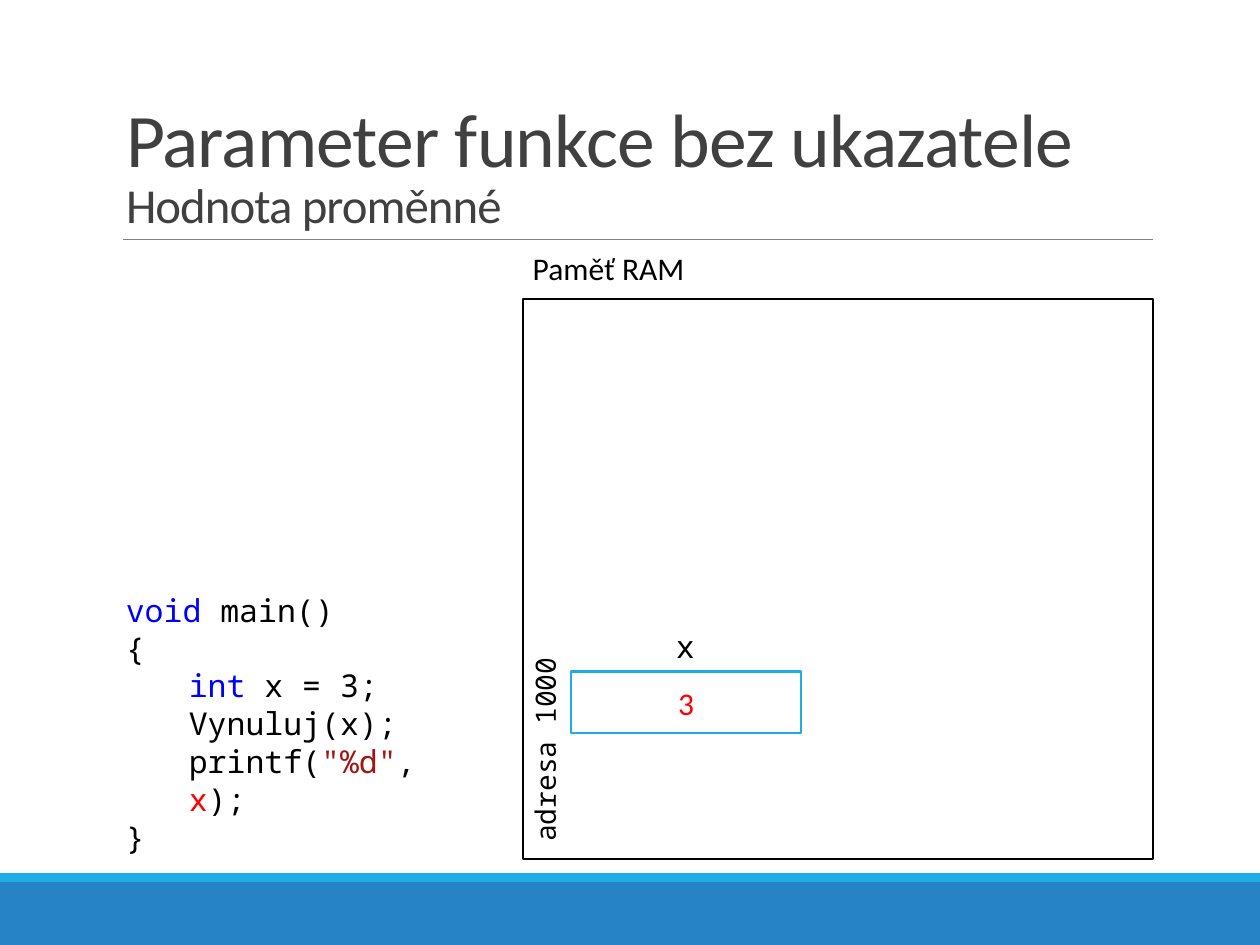
from typing import NamedTuple

from lxml.etree import SubElement as Sub
from pptx import Presentation
from pptx.dml.color import RGBColor as Color
from pptx.enum.shapes import MSO_CONNECTOR as Link, MSO_SHAPE as Shape
from pptx.enum.text import MSO_ANCHOR as Anchor, MSO_AUTO_SIZE as Fit, PP_ALIGN as Align
from pptx.oxml.ns import qn
from pptx.util import Inches, Pt

BLACK = Color(0x00, 0x00, 0x00)
WHITE = Color(0xFF, 0xFF, 0xFF)
DARK = Color(0x40, 0x40, 0x40)
GRAY = Color(0x80, 0x80, 0x80)
BLUE = Color(0x26, 0x83, 0xC6)
CYAN = Color(0x1C, 0xAD, 0xE4)
KEY = Color(0x00, 0x00, 0xFF)
QUOTE = Color(0xA3, 0x15, 0x15)
RED = Color(0xFF, 0x00, 0x00)
SANS = "Calibri"
MONO = "Noto Sans Mono"


class Area(NamedTuple):
    left: float
    top: float
    width: float
    height: float


class Panel(NamedTuple):
    area: Area
    fill: Color
    line: Color | None = None


class Word(NamedTuple):
    text: str
    color: Color = BLACK


class Row(NamedTuple):
    words: list[Word]
    level: int = 0


class Label(NamedTuple):
    area: Area
    text: str
    font: str = MONO
    size: float = 18
    align: Align = Align.LEFT
    turn: float = 0


PANELS = [
    Panel(Area(0, 7, 10, 0.5), BLUE),
    Panel(Area(0, 6.93, 10, 0.07), CYAN),
    Panel(Area(4.15, 2.37, 5, 4.45), WHITE, BLACK),
]
CELL = Panel(Area(4.53, 5.33, 1.83, 0.49), WHITE, CYAN)
LABELS = [
    Label(Area(4.13, 1.93, 1.86, 0.4), "Paměť RAM", SANS),
    Label(Area(4.53, 4.93, 1.82, 0.4), "x", align=Align.CENTER),
    Label(Area(3.42, 5.84, 1.81, 0.37), "adresa 1000", size=16, align=Align.RIGHT, turn=270),
]
CODE = [
    Row([Word("void ", KEY), Word("main()")]),
    Row([Word("{")]),
    Row([Word("int", KEY), Word(" x = 3;")], 1),
    Row([Word("Vynuluj(x);")], 1),
    Row([Word("printf("), Word('"%d"', QUOTE), Word(", "), Word("x", RED), Word(");")], 1),
    Row([Word("}")]),
]


def place(area: Area) -> list[int]:
    return [Inches(side) for side in area]


def write(para, word: Word, font: str, size: float):
    run = para.add_run()
    run.text = word.text
    run.font.name = font
    run.font.size = Pt(size)
    run.font.color.rgb = word.color
    return run


def draw_panel(slide, panel: Panel):
    box = slide.shapes.add_shape(Shape.RECTANGLE, *place(panel.area))
    box.shadow.inherit = False
    box.fill.solid()
    box.fill.fore_color.rgb = panel.fill
    if panel.line is None:
        box.line.fill.background()
    else:
        box.line.color.rgb = panel.line
        box.line.width = Pt(1.25)
    return box


def draw_cell(slide, panel: Panel, word: Word) -> None:
    frame = draw_panel(slide, panel).text_frame
    frame.vertical_anchor = Anchor.MIDDLE
    para = frame.paragraphs[0]
    para.alignment = Align.CENTER
    write(para, word, SANS, 18)


def draw_label(slide, label: Label) -> None:
    box = slide.shapes.add_textbox(*place(label.area))
    box.rotation = label.turn
    frame = box.text_frame
    frame.word_wrap = True
    para = frame.paragraphs[0]
    para.alignment = label.align
    write(para, Word(label.text), label.font, label.size)


def draw_code(slide, area: Area, rows: list[Row]) -> None:
    frame = slide.shapes.add_textbox(*place(area)).text_frame
    frame.word_wrap = True
    frame.margin_top = Inches(1.56)
    for i, row in enumerate(rows):
        para = frame.add_paragraph() if i else frame.paragraphs[0]
        para.level = row.level
        para._p.get_or_add_pPr().set("marL", str(Inches(0.5 * row.level)))
        for word in row.words:
            write(para, word, MONO, 18)


def draw_rule(slide, left: float, right: float, top: float) -> None:
    rule = slide.shapes.add_connector(
        Link.STRAIGHT, Inches(left), Inches(top), Inches(right), Inches(top))
    rule.line.color.rgb = GRAY
    rule.line.width = Pt(0.5)
    Sub(rule._element.spPr, qn("a:effectLst"))


def draw_title(slide, area: Area) -> None:
    title = slide.shapes.title
    title.left, title.top, title.width, title.height = place(area)
    frame = title.text_frame
    frame.word_wrap = True
    frame.auto_size = Fit.NONE
    frame.vertical_anchor = Anchor.BOTTOM
    para = frame.paragraphs[0]
    para.alignment = Align.LEFT
    para.line_spacing = 0.85
    head = write(para, Word("Parameter funkce bez ukazatele", DARK), SANS, 43.2)
    para.add_line_break()
    tail = write(para, Word("Hodnota proměnné", DARK), SANS, 27.9)
    for run in (head, tail):
        run.font._element.set("spc", "-50")


def main() -> None:
    deck = Presentation()
    deck.slide_width, deck.slide_height = Inches(10), Inches(7.5)
    slide = deck.slides.add_slide(deck.slide_layouts[5])
    draw_title(slide, Area(0.9, 0.31, 8.25, 1.59))
    for panel in PANELS:
        draw_panel(slide, panel)
    draw_rule(slide, 0.98, 9.15, 1.9)
    draw_code(slide, Area(0.9, 3.13, 2.92, 3.43), CODE)
    draw_cell(slide, CELL, Word("3", RED))
    for label in LABELS:
        draw_label(slide, label)
    deck.save("out.pptx")


if __name__ == "__main__":
    main()
